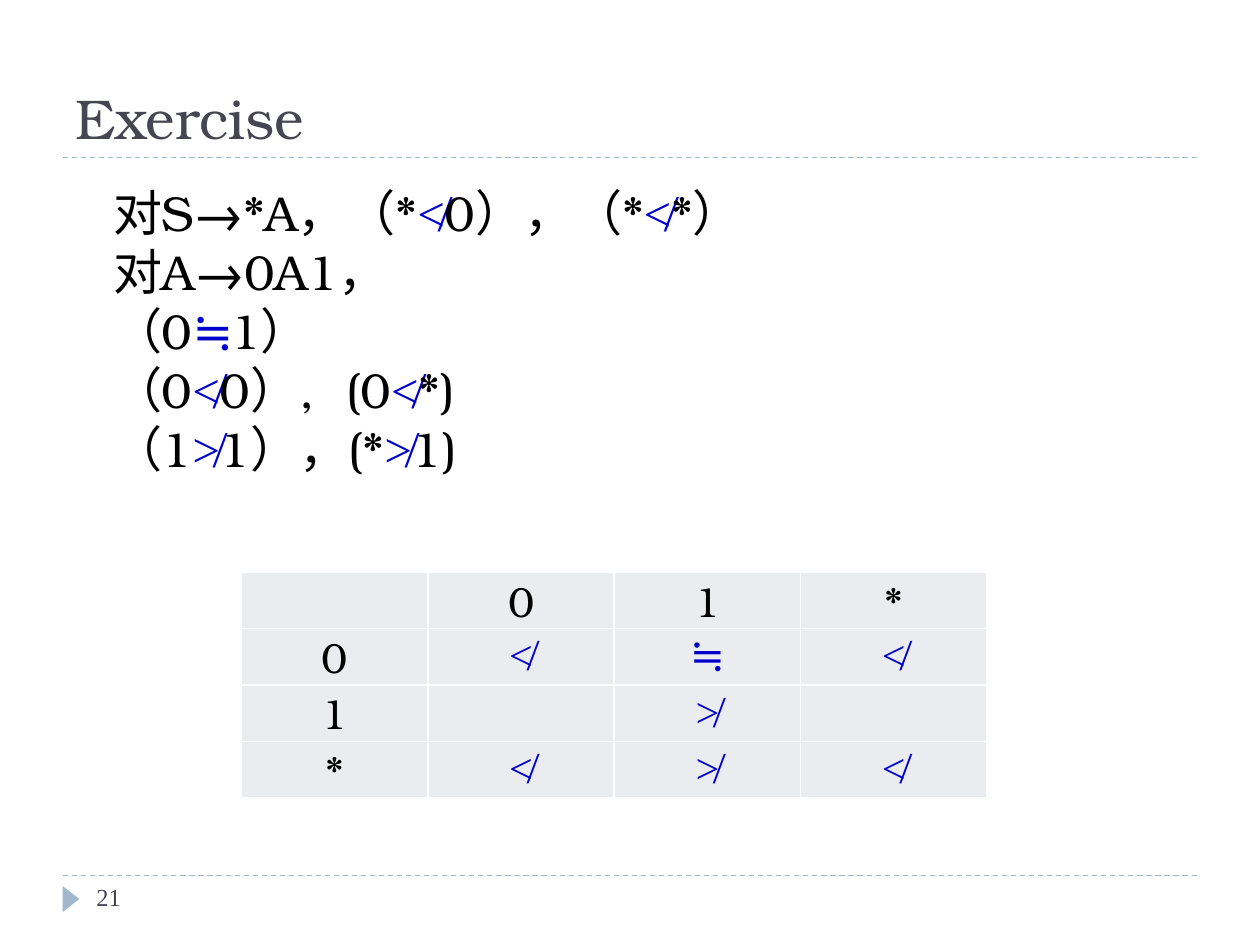
from lxml import etree
from pptx import Presentation
from pptx.dml.color import RGBColor
from pptx.enum import dml, shapes, text
from pptx.oxml import parse_xml
from pptx.oxml.ns import nsdecls, qn
from pptx.util import Pt

SERIF = "TeX Gyre Bonum"
ROMAN = "Times New Roman"
BLACK = RGBColor(0, 0, 0)
SLATE = RGBColor(0x46, 0x46, 0x53)
BLUE = RGBColor(0, 0, 0xCC)
STEEL = RGBColor(0x9F, 0xB8, 0xCD)
PALE = RGBColor(0xEB, 0xEC, 0xF0)
WHITE = RGBColor(0xFF, 0xFF, 0xFF)

RELATIONS = "≮≒≯"
DERIVATIONS = [
    "对S→*A，（*≮0），（*≮*）",
    "对A→0A1，",
    "（0≒1）",
    "（0≮0）,  (0≮*)",
    "（1≯1），(*≯1)",
]
PRECEDENCE = [
    ["", "0", "1", "*"],
    ["0", "≮", "≒", "≮"],
    ["1", "", "≯", ""],
    ["*", "≮", "≯", "≮"],
]


def style_font(font, size, name, color):
    font.size = Pt(size)
    font.name = name
    font.color.rgb = color


def split_relations(line):
    """Cut a line so that each relation sign is a piece of its own."""
    for sign in RELATIONS:
        line = line.replace(sign, f"\n{sign}\n")
    return [piece for piece in line.split("\n") if piece]


def add_symbols(p, line, size):
    """Write a line with its relation signs in blue."""
    for piece in split_relations(line):
        r = p.add_run()
        r.text = piece
        if piece in RELATIONS:
            style_font(r.font, size, ROMAN, BLUE)
        else:
            style_font(r.font, size, SERIF, BLACK)


def add_rule(s, y):
    line = s.shapes.add_connector(
        shapes.MSO_CONNECTOR.STRAIGHT, Pt(36), Pt(y), Pt(684), Pt(y))
    line.line.color.rgb = STEEL
    line.line.width = Pt(0.75)
    line.line.dash_style = dml.MSO_LINE.DASH
    etree.SubElement(line._element.spPr, qn("a:effectLst"))


def add_marker(s):
    sp = s.shapes.add_shape(
        shapes.MSO_SHAPE.ISOSCELES_TRIANGLE, Pt(33), Pt(509), Pt(15), Pt(9.5))
    sp.rotation = 90
    sp.shadow.inherit = False
    sp.fill.solid()
    sp.fill.fore_color.rgb = STEEL
    sp.line.fill.background()


def set_title(s, title):
    sp = s.shapes.title
    sp.left, sp.top, sp.width, sp.height = Pt(36), Pt(12), Pt(648), Pt(78)
    tf = sp.text_frame
    tf.text = title
    tf.vertical_anchor = text.MSO_ANCHOR.BOTTOM
    p = tf.paragraphs[0]
    p.alignment = text.PP_ALIGN.LEFT
    style_font(p.runs[0].font, 32, SERIF, SLATE)


def add_text_box(s, left, top, width, height):
    tf = s.shapes.add_textbox(Pt(left), Pt(top), Pt(width), Pt(height)).text_frame
    tf.word_wrap = True
    return tf


def add_page_number(s, number):
    tf = add_text_box(s, 48, 500.5, 156, 28.8)
    tf.text = number
    style_font(tf.paragraphs[0].runs[0].font, 14, ROMAN, SLATE)


def add_derivations(s):
    tf = add_text_box(s, 36.5, 100, 646.5, 177)
    tf.vertical_anchor = text.MSO_ANCHOR.MIDDLE
    for i, line in enumerate(DERIVATIONS):
        p = tf.add_paragraph() if i else tf.paragraphs[0]
        pPr = p._p.get_or_add_pPr()
        pPr.set("marL", "0")
        pPr.set("indent", str(Pt(21)))
        add_symbols(p, line, 28)


def add_borders(cell):
    tcPr = cell._tc.get_or_add_tcPr()
    for i, side in enumerate(("lnL", "lnR", "lnT", "lnB")):
        tcPr.insert(i, parse_xml(
            f'<a:{side} {nsdecls("a")} w="{Pt(1)}"><a:solidFill>'
            f'<a:srgbClr val="{WHITE}"/></a:solidFill></a:{side}>'))


def add_precedence_table(s):
    n = len(PRECEDENCE)
    table = s.shapes.add_table(
        n, n, Pt(138), Pt(327), Pt(426), Pt(115.2)).table
    for i, row in enumerate(PRECEDENCE):
        for j, symbol in enumerate(row):
            cell = table.cell(i, j)
            cell.fill.solid()
            cell.fill.fore_color.rgb = PALE
            cell.margin_left = cell.margin_right = Pt(6)
            cell.margin_top = cell.margin_bottom = 0
            cell.vertical_anchor = text.MSO_ANCHOR.MIDDLE
            add_borders(cell)
            p = cell.text_frame.paragraphs[0]
            p.alignment = text.PP_ALIGN.CENTER
            add_symbols(p, symbol, 24)


def main():
    prs = Presentation()
    prs.slide_width, prs.slide_height = Pt(720), Pt(540)
    s = prs.slides.add_slide(prs.slide_layouts[5])
    for y in (500.4, 90):
        add_rule(s, y)
    add_marker(s)
    set_title(s, "Exercise")
    add_precedence_table(s)
    add_page_number(s, "21")
    add_derivations(s)
    prs.save("out.pptx")


if __name__ == "__main__":
    main()
